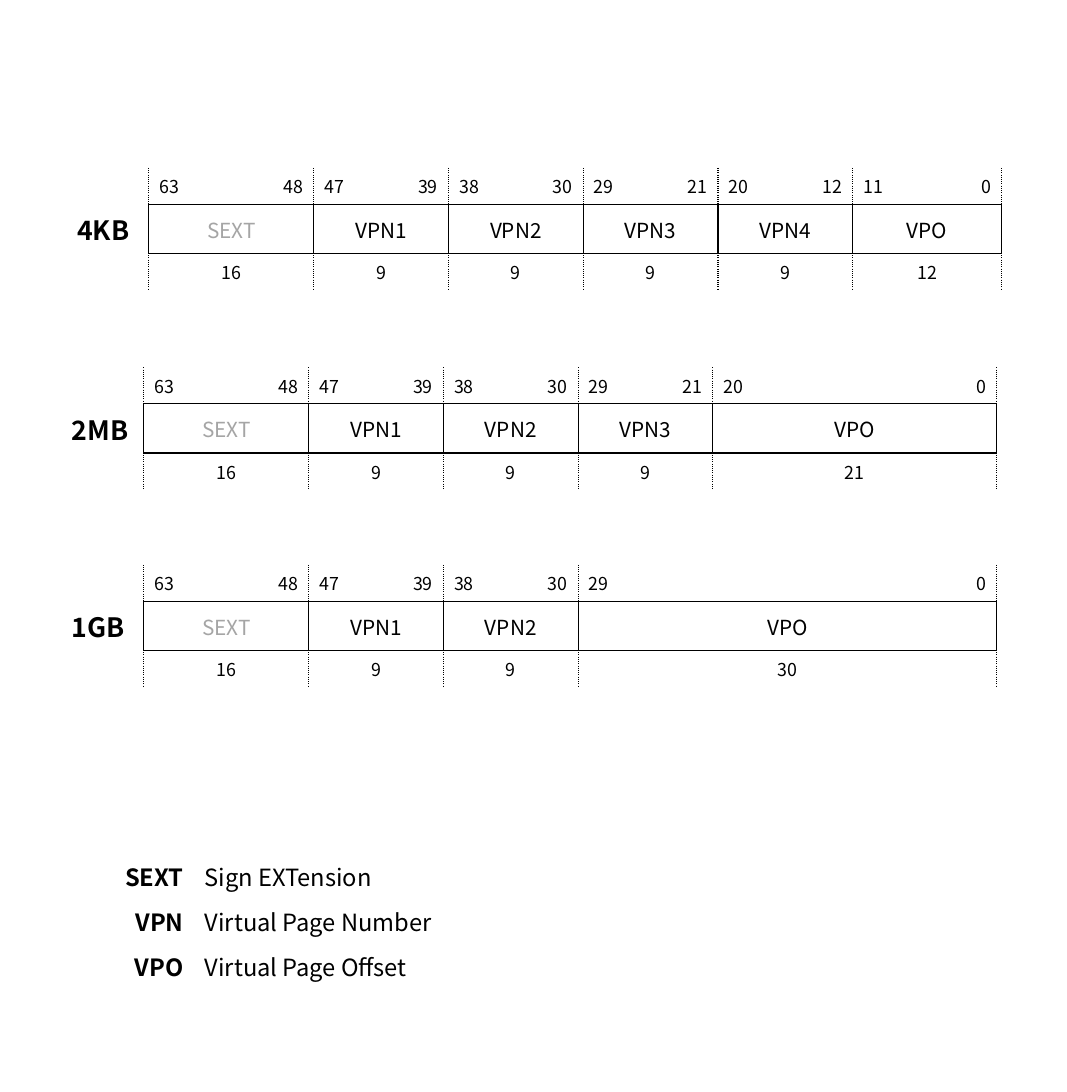
import pptx
import pptx.util
import pptx.dml.color
import pptx.enum.text
import pptx.oxml
import pptx.oxml.ns

Pt = pptx.util.Pt
qn = pptx.oxml.ns.qn
make = pptx.oxml.parse_xml
ALIGN = pptx.enum.text.PP_ALIGN
ANCHOR = pptx.enum.text.MSO_ANCHOR

FACE = "Noto Sans CJK SC"
BLACK, GREY, WHITE = "000000", "A5A5A5", "FFFFFF"
PLAIN = "{2D5ABB26-0587-4C30-8999-92F81FD0307C}"  # no style, no grid

# page size, left, top, anchor of the bit numbers, fields as (name, bits)
LAYOUTS = [
    ("4KB", 44.75, 113.3, "MIDDLE",
     [("SEXT", 16), ("VPN1", 9), ("VPN2", 9), ("VPN3", 9), ("VPN4", 9), ("VPO", 12)]),
    ("2MB", 41.35, 247.9, "BOTTOM",
     [("SEXT", 16), ("VPN1", 9), ("VPN2", 9), ("VPN3", 9), ("VPO", 21)]),
    ("1GB", 41.35, 381.2, "BOTTOM",
     [("SEXT", 16), ("VPN1", 9), ("VPN2", 9), ("VPO", 30)]),
]
TERMS = [("SEXT", "Sign EXTension"), ("VPN", "Virtual Page Number"),
         ("VPO", "Virtual Page Offset")]

SIGN, PAGE, LAST = 55.7, 45.45, 50.35  # half widths of the three field kinds
HALF = {16: SIGN, 9: PAGE, 12: LAST}
ROWS = [20, 27, 20]


def color(code):
    """Turn a hex string into a colour."""
    return pptx.dml.color.RGBColor.from_string(code)


def split(bits):
    """Give the column widths of a field."""
    if bits in HALF:
        return [HALF[bits]] * 2
    pages = (bits - 12) // 9
    return [PAGE, (2 * pages - 1) * PAGE + LAST, LAST]


def grid(left, top, cols, rows):
    """Add an unstyled table and return it."""
    frame = slide.shapes.add_table(len(rows), len(cols), Pt(left), Pt(top),
                                   Pt(sum(cols)), Pt(sum(rows)))
    table = frame.table
    table.first_row = table.horz_banding = False
    next(frame.element.iter(qn("a:tableStyleId"))).text = PLAIN
    for col, width in zip(table.columns, cols):
        col.width = Pt(width)
    for row, height in zip(table.rows, rows):
        row.height = Pt(height)
    for par in frame.element.iter(qn("a:p")):
        par.get_or_add_endParaRPr().set("sz", "1200")
    return table


def put(cell, text, size, align="LEFT", anchor="MIDDLE", bold=False, ink=BLACK):
    """Write text into a cell."""
    cell.vertical_anchor = getattr(ANCHOR, anchor)
    par = cell.text_frame.paragraphs[0]
    par.alignment = getattr(ALIGN, align)
    run = par.add_run()
    run.text = str(text)
    for key, value in dict(name=FACE, size=Pt(size), bold=bold).items():
        setattr(run.font, key, value)
    run.font.color.rgb = color(ink)


def edge(cell, **sides):
    """Draw cell borders, given as side=dash or side=None, then fill the cell."""
    props = cell._tc.get_or_add_tcPr()
    for side in "LRTB":
        if side not in sides:
            continue
        line = "<a:noFill/>"
        if sides[side]:
            line = (f'<a:solidFill><a:srgbClr val="{BLACK}"/></a:solidFill>'
                    f'<a:prstDash val="{sides[side]}"/>')
        props.append(make(f'<a:ln{side} {pptx.oxml.ns.nsdecls("a")} w="12700">'
                          f'{line}</a:ln{side}>'))
    cell.fill.solid()
    cell.fill.fore_color.rgb = color(WHITE)


def layout(label, left, top, anchor, fields):
    """Draw one address layout as a table."""
    parts = [split(bits) for _, bits in fields]
    table = grid(left, top, [SIGN] + sum(parts, []), ROWS)
    for row, dash in enumerate(("sysDot", "solid", "sysDot")):
        edge(table.cell(row, 0), R=dash)
    put(table.cell(1, 0), label, 18, anchor="TOP", bold=True)
    first, high = 1, 63
    for (name, bits), widths in zip(fields, parts):
        last = first + len(widths) - 1
        for col in range(first, last + 1):
            edge(table.cell(0, col), B="solid",
                 L="sysDot" if col == first else None,
                 R="sysDot" if col == last else None)
            edge(table.cell(1, col), **dict.fromkeys("LRTB", "solid"))
            edge(table.cell(2, col), L="sysDot", R="sysDot", T="solid")
        for row in (1, 2):
            table.cell(row, first).merge(table.cell(row, last))
        put(table.cell(0, first), high, 12, anchor=anchor)
        put(table.cell(0, last), high - bits + 1, 12, "RIGHT", anchor)
        put(table.cell(1, first), name, 14, "CENTER",
            ink=GREY if name == "SEXT" else BLACK)
        put(table.cell(2, first), bits, 12, "CENTER")
        first, high = last + 1, high - bits


deck = pptx.Presentation()
deck.slide_width = Pt(720)
deck.slide_height = Pt(737.01)
slide = deck.slides.add_slide(deck.slide_layouts[6])

for item in LAYOUTS:
    layout(*item)

legend = grid(62.64, 576.4, [68.4, 213.84], [22.32] * len(TERMS))
for row, (short, full) in enumerate(TERMS):
    put(legend.cell(row, 0), short, 16, "RIGHT", "TOP", bold=True)
    put(legend.cell(row, 1), full, 16, anchor="TOP")
    for col in (0, 1):
        edge(legend.cell(row, col))

deck.save("out.pptx")
